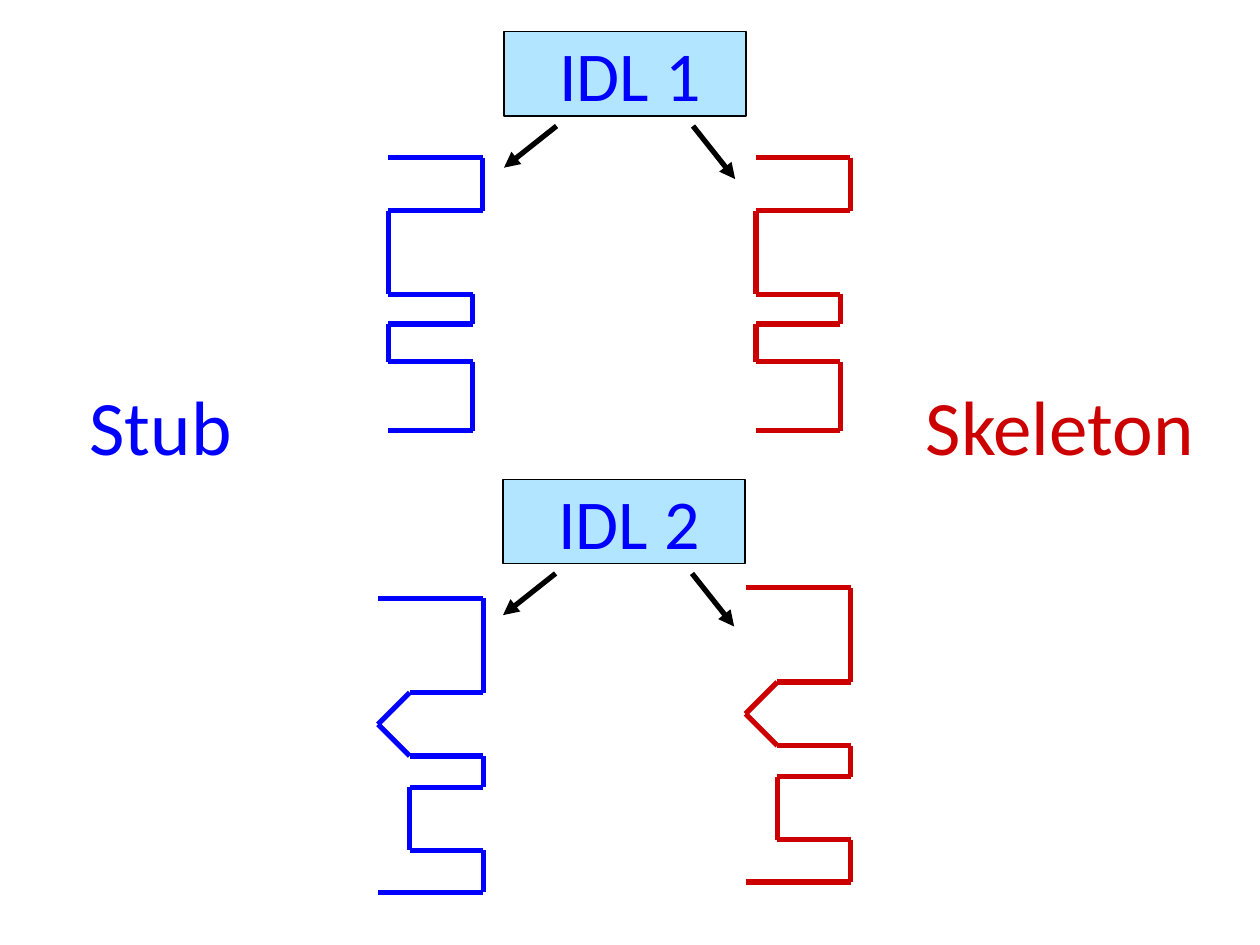
from lxml import etree
from pptx import Presentation
from pptx import util as u
from pptx.dml.color import RGBColor
from pptx.enum import shapes, text
from pptx.oxml.ns import qn

BLUE, RED, SKY, BLACK = "0000FF", "CC0000", "66CCFF", "000000"


def paint(fmt, color):
    """Give a fill or font a solid colour from a hex string."""
    if hasattr(fmt, "solid"):
        fmt.solid()
        fmt = fmt.fore_color
    else:
        fmt = fmt.color
    fmt.rgb = RGBColor.from_string(color)


def draw(home, start, end, color):
    """Add a 3 pt line between two points in cm and return its line element."""
    wire = home.add_connector(shapes.MSO_CONNECTOR.STRAIGHT,
                              *[u.Cm(v) for v in (*start, *end)])
    paint(wire.line.fill, color)
    wire.line.width = u.Pt(3)
    props = wire._element.spPr
    etree.SubElement(props, qn("a:effectLst"))
    return props.find(qn("a:ln"))


deck = Presentation()
deck.slide_width, deck.slide_height = u.Cm(25.4), u.Cm(19.05)
slide = deck.slides.add_slide(deck.slide_layouts[6])
items = slide.shapes

# IDL boxes with an arrow to each side
for left, top in ((10.16, 0.64), (10.14, 9.66)):
    box = items.add_shape(shapes.MSO_SHAPE.RECTANGLE, u.Cm(left), u.Cm(top),
                          u.Cm(4.88), u.Cm(1.7))
    box.shadow.inherit = False
    paint(box.fill, SKY)
    tint = box._element.spPr.find(qn("a:solidFill"))[0]
    etree.SubElement(tint, qn("a:alpha"), val="50000")
    paint(box.line.fill, BLACK)
    box.line.width = u.Pt(0.75)

    for x1, x2, y2 in ((1.06, 0, 2.74), (3.81, 4.66, 2.97)):
        line = draw(items, (left + x1, top + 1.9), (left + x2, top + y2), BLACK)
        etree.SubElement(line, qn("a:tailEnd"), type="triangle")

# Interface outlines: the same profile for stub and skeleton
first = [(0, 0), (1.9, 0), (1.9, 1.07), (0, 1.07), (0, 2.75), (1.7, 2.75),
         (1.7, 3.35), (0, 3.35), (0, 4.11), (1.7, 4.11), (1.7, 5.5), (0, 5.5)]
second = [(0, 0), (2.12, 0), (2.12, 1.9), (0.64, 1.9), (0, 2.54),
          (0.64, 3.18), (2.12, 3.18), (2.12, 3.81), (0.64, 3.81),
          (0.64, 5.08), (2.12, 5.08), (2.12, 5.93), (0, 5.93)]
edges = [
    (first, 7.83, 3.18, BLUE),
    (first, 15.24, 3.18, RED),
    (second, 7.62, 12.06, BLUE),
    (second, 15.03, 11.85, RED),
]
for shape, left, top, color in edges:
    group = items.add_group_shape()
    spots = [(left + x, top + y) for x, y in shape]
    for start, end in zip(spots, spots[1:]):
        draw(group.shapes, start, end, color)

# Labels
labels = [
    ("Stub", 1.32, 7.49, 3.84, 2.13, 44, BLUE),
    ("Skeleton", 17.96, 7.49, 6.81, 2.13, 44, RED),
    ("IDL 1", 10.74, 0.51, 3.92, 1.96, 40, BLUE),
    ("IDL 2", 10.72, 9.53, 3.92, 1.96, 40, BLUE),
]
frame = {
    "word_wrap": False,
    "auto_size": text.MSO_AUTO_SIZE.SHAPE_TO_FIT_TEXT,
    "vertical_anchor": text.MSO_ANCHOR.MIDDLE,
}
for words, left, top, width, height, size, color in labels:
    label = items.add_textbox(*[u.Cm(v) for v in (left, top, width, height)])
    for key, value in frame.items():
        setattr(label.text_frame, key, value)
    para = label.text_frame.paragraphs[0]
    para.alignment = text.PP_ALIGN.CENTER
    run = para.add_run()
    run.text = words
    for key, value in {"name": "Calibri", "size": u.Pt(size)}.items():
        setattr(run.font, key, value)
    paint(run.font, color)

deck.save("out.pptx")
